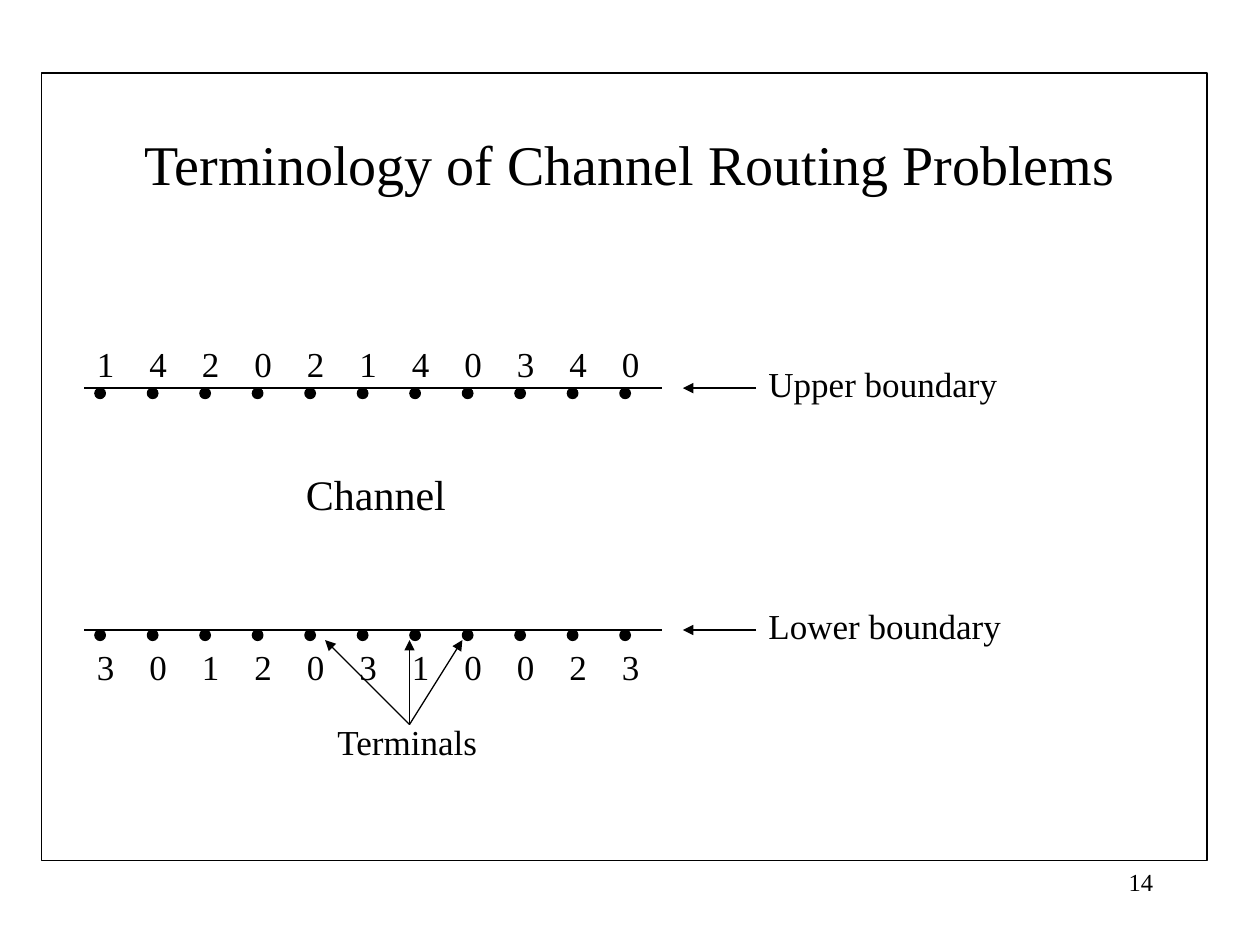
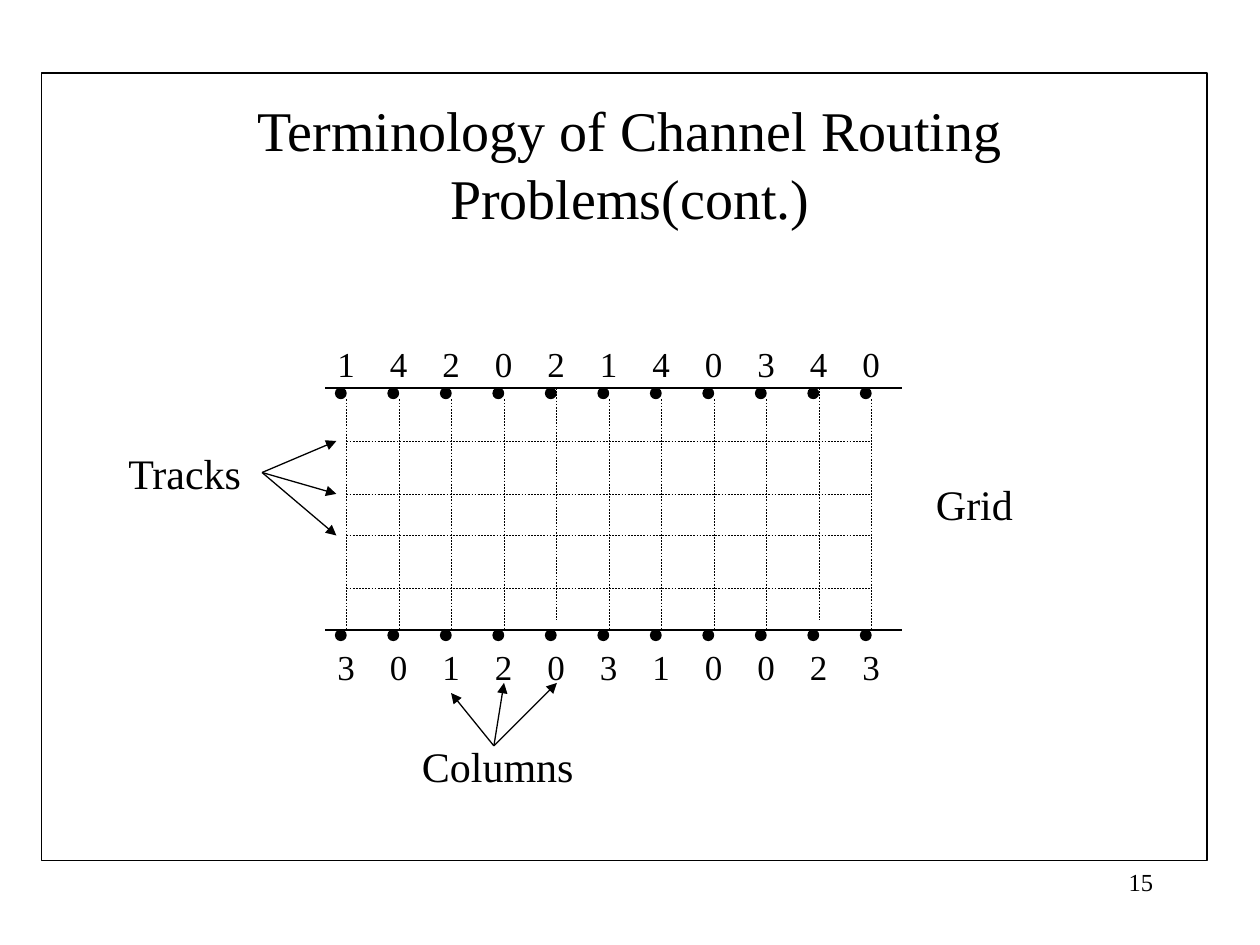
from lxml.etree import SubElement
from pptx import Presentation
from pptx.dml.color import RGBColor
from pptx.enum.dml import MSO_LINE
from pptx.enum.shapes import MSO_CONNECTOR, MSO_SHAPE
from pptx.enum.text import MSO_ANCHOR, PP_ALIGN
from pptx.oxml.ns import qn
from pptx.util import Inches, Pt

COLORS = {"ink": "000000", "paper": "FFFFFF"}
FONT = "Times New Roman"
UPPER_NETS = [1, 4, 2, 0, 2, 1, 4, 0, 3, 4, 0]
LOWER_NETS = [3, 0, 1, 2, 0, 3, 1, 0, 0, 2, 3]
COLUMN_STEP = 5 / 12
DOT_SIZE = 1 / 12
UPPER_Y, LOWER_Y = 3.08, 5
BOUNDARY_LENGTH = 4.58


def color(name):
    return RGBColor.from_string(COLORS[name])


class Deck:
    def __init__(self):
        self.prs = Presentation()
        self.prs.slide_width, self.prs.slide_height = Inches(10), Inches(7.5)
        self.slide = None

    def new_slide(self, title, number):
        """Start a slide with its background, frame, title and page number."""
        self.slide = self.prs.slides.add_slide(self.prs.slide_layouts[6])
        self.slide.background.fill.solid()
        self.slide.background.fill.fore_color.rgb = color("paper")
        self.shape(MSO_SHAPE.RECTANGLE, 0.33, 0.58, 9.25, 6.25)
        self.text(title, 0.75, 0.67, 8.5, 1.25, size=32,
                  align=PP_ALIGN.CENTER, anchor=MSO_ANCHOR.MIDDLE)
        self.text(str(number), 7.17, 6.83, 2.08, 0.5, size=14, align=PP_ALIGN.RIGHT)

    def text(self, content, left, top, width, height, size=20,
             align=PP_ALIGN.LEFT, anchor=MSO_ANCHOR.TOP, tab_stops=()):
        box = self.slide.shapes.add_textbox(
            Inches(left), Inches(top), Inches(width), Inches(height))
        frame = box.text_frame
        frame.word_wrap = True
        frame.vertical_anchor = anchor
        paragraph = frame.paragraphs[0]
        paragraph.alignment = align
        if tab_stops:
            stops = SubElement(paragraph._p.get_or_add_pPr(), qn("a:tabLst"))
            for stop in tab_stops:
                SubElement(stops, qn("a:tab"), pos=str(Inches(stop)), algn="l")
        run = paragraph.add_run()
        run.text = content
        run.font.name = FONT
        run.font.size = Pt(size)
        run.font.color.rgb = color("ink")

    def shape(self, kind, left, top, width, height, fill=None):
        shape = self.slide.shapes.add_shape(
            kind, Inches(left), Inches(top), Inches(width), Inches(height))
        shape.shadow.inherit = False
        if fill:
            shape.fill.solid()
            shape.fill.fore_color.rgb = color(fill)
        else:
            shape.fill.background()
        shape.line.color.rgb = color("ink")
        shape.line.width = Pt(0.75)

    def line(self, start, end, weight=0.75, dashed=False, arrow=False):
        connector = self.slide.shapes.add_connector(
            MSO_CONNECTOR.STRAIGHT, *map(Inches, start + end))
        connector.line.color.rgb = color("ink")
        connector.line.width = Pt(weight)
        if dashed:
            connector.line.dash_style = MSO_LINE.DASH
        if arrow:
            SubElement(connector.line._get_or_add_ln(), qn("a:tailEnd"), type="triangle")
        SubElement(connector._element.spPr, qn("a:effectLst"))

    def arrows(self, start, ends):
        for end in ends:
            self.line(start, end, arrow=True)

    def boundary(self, nets, left, line_y, label_y):
        """Draw a channel boundary with its terminals and their net numbers."""
        stops = [COLUMN_STEP * i for i in range(1, len(nets))]
        self.text("\t".join(map(str, nets)), left, label_y, 5.17, 0.44, tab_stops=stops)
        self.line((left, line_y), (left + BOUNDARY_LENGTH, line_y))
        for i in range(len(nets)):
            self.shape(MSO_SHAPE.OVAL, left + DOT_SIZE + COLUMN_STEP * i, line_y,
                       DOT_SIZE, DOT_SIZE, fill="ink")

    def channel(self, left):
        self.boundary(UPPER_NETS, left, UPPER_Y, 2.67)
        self.boundary(LOWER_NETS, left, LOWER_Y, 5.07)

    def grid(self, left, tracks):
        for i in range(len(UPPER_NETS)):
            x = left + COLUMN_STEP * i
            # Two of the columns sit slightly higher than the rest
            top, bottom = (3.08, 4.92) if i in (4, 9) else (3.17, LOWER_Y)
            self.line((x, top), (x, bottom), weight=0.25, dashed=True)
        right = left + COLUMN_STEP * (len(UPPER_NETS) - 1)
        for y in tracks:
            self.line((left, y), (right, y), weight=0.25, dashed=True)


def add_boundaries_slide(deck):
    deck.new_slide("Terminology of Channel Routing Problems", 14)
    deck.channel(0.67)
    deck.text("Channel", 2.33, 3.67, 2.75, 0.5, size=24)
    for label, y in (("Upper boundary", UPPER_Y), ("Lower boundary", LOWER_Y)):
        deck.text(label, 6, y - 0.25, 2.25, 0.44)
        deck.arrows((6, y), [(5.42, y)])
    deck.text("Terminals", 2.58, 5.67, 2.17, 0.44)
    deck.arrows((3.25, 5.75), [(x, 5.08) for x in (2.58, 3.25, 3.67)])


def add_grid_slide(deck):
    tracks = [3.5, 3.92, 4.25, 4.67]
    deck.new_slide("Terminology of Channel Routing Problems(cont.)", 15)
    deck.channel(2.58)
    deck.grid(2.75, tracks)
    deck.text("Grid", 7.33, 3.75, 1.5, 0.5, size=24)
    deck.text("Tracks", 0.92, 3.5, 1.67, 0.5, size=24)
    deck.arrows((2.08, 3.75), [(2.67, y) for y in tracks[:3]])
    deck.text("Columns", 3.25, 5.83, 1.58, 0.5, size=24)
    deck.arrows((3.92, 5.92), [(3.58, 5.5), (4, 5.42), (4.42, 5.42)])


def main():
    deck = Deck()
    add_boundaries_slide(deck)
    add_grid_slide(deck)
    deck.prs.save("out.pptx")


if __name__ == "__main__":
    main()
